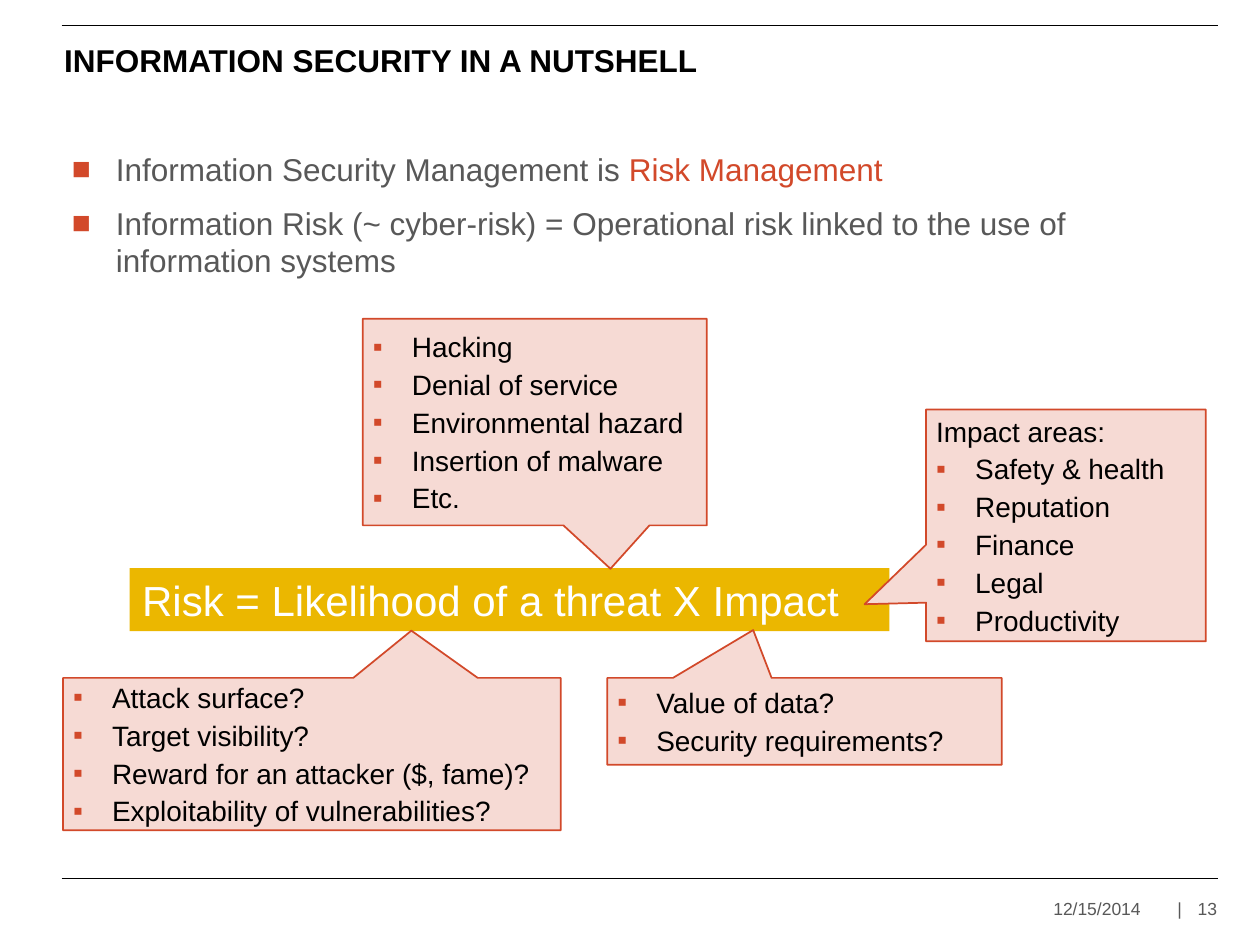
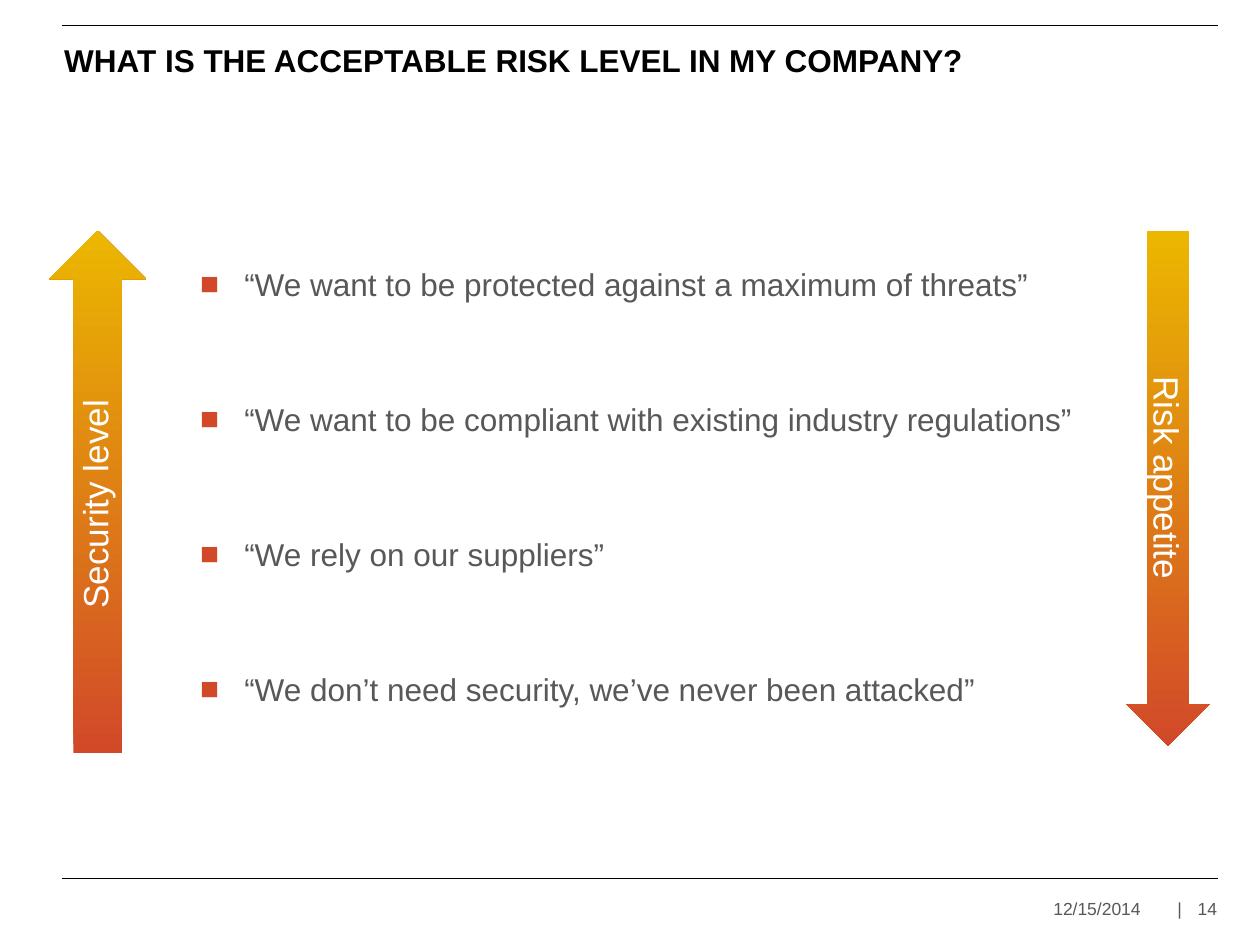
from lxml import etree
from pptx import Presentation
from pptx.dml.color import RGBColor
from pptx.enum.shapes import MSO_CONNECTOR, MSO_SHAPE
from pptx.enum.text import MSO_ANCHOR as ANCHOR, PP_ALIGN as ALIGN
from pptx.oxml.ns import qn
from pptx.util import Inches, Pt

COLORS = {
    "ink": "000000",
    "gray": "585858",
    "red": "D2492A",
    "pink": "F6DAD4",
    "gold": "EBB700",
    "white": "FFFFFF",
}
FONT = "Arial"
SMALL_SQUARE = {"char": "▪", "indent": 0.31}
LARGE_SQUARE = {"char": "■", "indent": 0.35}


def rgb(name):
    return RGBColor.from_string(COLORS[name])


def add_bullet(paragraph, char, indent):
    props = paragraph._p.get_or_add_pPr()
    props.set("marL", str(Inches(indent)))
    props.set("indent", str(-Inches(indent)))
    color = etree.SubElement(props, qn("a:buClr"))
    etree.SubElement(color, qn("a:srgbClr"), val=COLORS["red"])
    etree.SubElement(props, qn("a:buFont"), typeface=FONT)
    etree.SubElement(props, qn("a:buChar"), char=char)


def add_tabs(paragraph, stops):
    tabs = etree.SubElement(paragraph._p.get_or_add_pPr(), qn("a:tabLst"))
    for position, align in stops:
        etree.SubElement(tabs, qn("a:tab"), pos=str(Inches(position)), algn=align)


class Deck:
    """Holds the shared style and the slide being filled."""

    def __init__(self):
        self.prs = Presentation()
        self.prs.slide_width, self.prs.slide_height = Inches(10), Inches(7.5)
        self.slide = None

    def new_slide(self, title, number):
        self.slide = self.prs.slides.add_slide(self.prs.slide_layouts[6])
        for y in (0.2, 6.97):
            self.rule(y)
        self.text_box((0.47, 0.3, 9.17, 0.35), [title], (0.04, 0, 0.04, 0),
                      color="ink", bold=True, anchor=ANCHOR.MIDDLE, wrap=False)
        footer = {"size": 10, "anchor": ANCHOR.MIDDLE, "wrap": False}
        date = self.text_box((8.36, 7.09, 1.02, 0.24), ["12/15/2014\t |"],
                             (0, 0.04, 0, 0.04), **footer)
        add_tabs(date.text_frame.paragraphs[0], [(0.51, "ctr"), (1.02, "r")])
        self.text_box((9.38, 7.09, 0.28, 0.24), [str(number)],
                      (0.04, 0.04, 0, 0.04), align=ALIGN.RIGHT, **footer)

    def rule(self, y):
        line = self.slide.shapes.add_connector(
            MSO_CONNECTOR.STRAIGHT, Inches(0.49), Inches(y), Inches(9.67), Inches(y))
        line.line.color.rgb = rgb("ink")
        line.line.width = Pt(0.5)
        etree.SubElement(line._element.spPr, qn("a:effectLst"))

    def fill_text(self, shape, items, insets=(0.1, 0.05, 0.1, 0.05), size=18,
                  color="gray", bold=False, bullet=None, plain_first=False,
                  anchor=ANCHOR.TOP, wrap=True, align=ALIGN.LEFT, gap=0,
                  line_spacing=None):
        """Each item is a paragraph: a string, or a list of (text, colour) runs."""
        frame = shape.text_frame
        left, top, right, bottom = map(Inches, insets)
        frame_format = {"margin_left": left, "margin_top": top, "margin_right": right,
                        "margin_bottom": bottom, "vertical_anchor": anchor,
                        "word_wrap": wrap}
        for name, value in frame_format.items():
            setattr(frame, name, value)
        for index, item in enumerate(items):
            paragraph = frame.add_paragraph() if index else frame.paragraphs[0]
            if bullet and (index or not plain_first):
                add_bullet(paragraph, **bullet)
            paragraph_format = {"alignment": align, "line_spacing": line_spacing,
                                "space_before": Pt(gap if index else 0)}
            for name, value in paragraph_format.items():
                setattr(paragraph, name, value)
            for text, run_color in [(item, color)] if isinstance(item, str) else item:
                run = paragraph.add_run()
                run.text = text
                font_format = {"name": FONT, "size": Pt(size), "bold": bold}
                for name, value in font_format.items():
                    setattr(run.font, name, value)
                run.font.color.rgb = rgb(run_color)

    def text_box(self, box, items, *args, **style):
        shape = self.slide.shapes.add_textbox(*map(Inches, box))
        self.fill_text(shape, items, *args, **style)
        return shape

    def shape(self, kind, box, fill=None):
        shape = self.slide.shapes.add_shape(kind, *map(Inches, box))
        shape.shadow.inherit = False
        shape.line.fill.background()
        if fill:
            shape.fill.solid()
            shape.fill.fore_color.rgb = rgb(fill)
        return shape

    def band(self, box, text):
        band = self.shape(MSO_SHAPE.RECTANGLE, box, "gold")
        self.fill_text(band, [text], size=24, color="white")

    def callout(self, box, tip, items, plain_first=False):
        callout = self.shape(MSO_SHAPE.RECTANGULAR_CALLOUT, box, "pink")
        callout.adjustments[0], callout.adjustments[1] = tip
        callout.line.color.rgb = rgb("red")
        callout.line.width = Pt(1)
        self.fill_text(callout, items, (0.08, 0, 0, 0), size=16, color="ink", gap=2.4,
                       bullet=SMALL_SQUARE, plain_first=plain_first,
                       anchor=ANCHOR.MIDDLE)

    def gradient_arrow(self, box, label, colors, rotation=0):
        arrow = self.shape(MSO_SHAPE.DOWN_ARROW, box)
        arrow.rotation = rotation
        arrow.fill.gradient()
        arrow.fill.gradient_angle = 270
        for stop, color in zip(arrow.fill.gradient_stops, colors):
            stop.color.rgb = rgb(color)
        self.fill_text(arrow, [label], (0, 0, 0, 0), size=20, color="white",
                       align=ALIGN.CENTER)
        arrow.text_frame._txBody.bodyPr.set("vert", "vert")


def build_nutshell(deck):
    deck.new_slide("INFORMATION SECURITY IN A NUTSHELL", 13)
    deck.text_box(
        (0.53, 1.15, 9.17, 5.75),
        [[("Information Security Management is ", "gray"), ("Risk Management", "red")],
         "Information Risk (~ cyber-risk) = Operational risk linked to the use of "
         "information systems"],
        (0.04, 0.04, 0.04, 0.04), bullet=LARGE_SQUARE, gap=9)
    deck.band((1.03, 4.51, 6.03, 0.5), "Risk = Likelihood of a threat X Impact")
    deck.callout((0.5, 5.38, 3.95, 1.21), (0.2, -0.81),
                 ["Attack surface?", "Target visibility?",
                  "Reward for an attacker ($, fame)?",
                  "Exploitability of vulnerabilities?"])
    deck.callout((4.82, 5.38, 3.13, 0.69), (-0.13, -1.05),
                 ["Value of data?", "Security requirements?"])
    deck.callout((2.88, 2.53, 2.73, 1.64), (0.22, 0.71),
                 ["Hacking", "Denial of service", "Environmental hazard",
                  "Insertion of malware", "Etc."])
    deck.callout((7.35, 3.25, 2.22, 1.84), (-0.72, 0.34),
                 ["Impact areas:", "Safety & health", "Reputation", "Finance",
                  "Legal", "Productivity"], plain_first=True)


def build_risk_level(deck):
    deck.new_slide("WHAT IS THE ACCEPTABLE RISK LEVEL IN MY COMPANY?", 14)
    attitudes = ["“We want to be protected against a maximum of threats”",
                 "“We want to be compliant with existing industry regulations”",
                 "“We rely on our suppliers”",
                 "“We don’t need security, we’ve never been attacked”"]
    first_top, last_top = 2.11, 5.33
    step = (last_top - first_top) / (len(attitudes) - 1)
    for row, attitude in enumerate(attitudes):
        deck.text_box((1.49, first_top + row * step, 7.52, 0.34), [attitude],
                      bullet=LARGE_SQUARE, line_spacing=0.8)
    deck.gradient_arrow((0.39, 1.83, 0.77, 4.15), "Security level", ("red", "gold"),
                        rotation=180)
    deck.gradient_arrow((8.94, 1.83, 0.66, 4.09), "Risk appetite", ("gold", "red"))


def main():
    deck = Deck()
    build_nutshell(deck)
    build_risk_level(deck)
    deck.prs.save("out.pptx")


if __name__ == "__main__":
    main()
